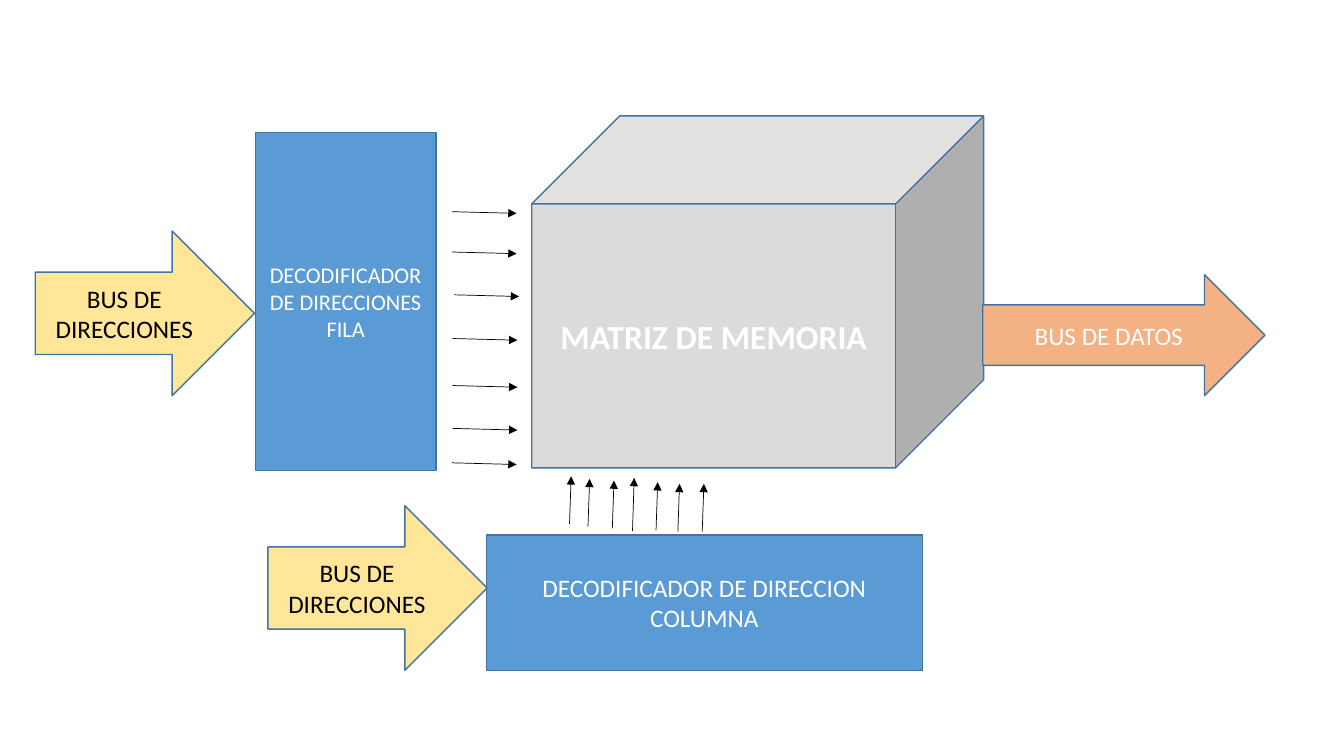
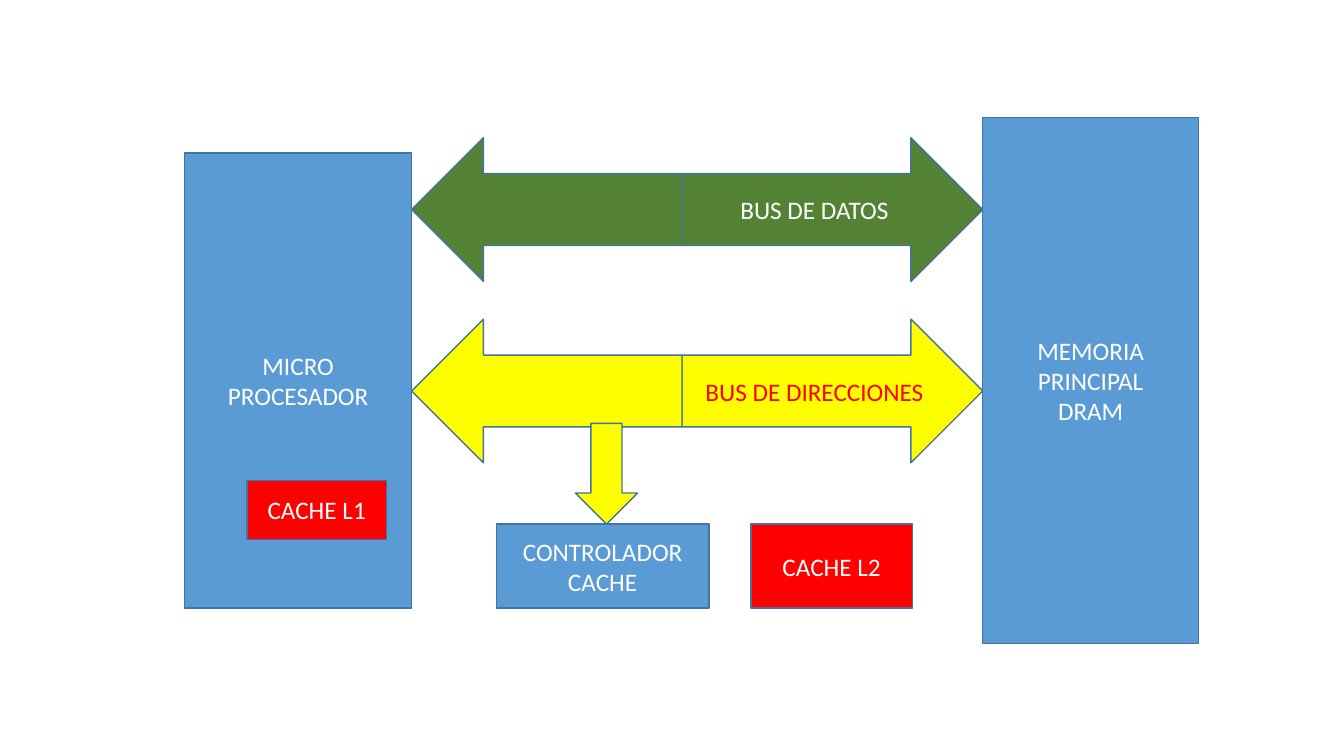
import pptx
import pptx.util
import pptx.dml.color
import pptx.enum.shapes
import pptx.enum.text
import pptx.oxml.ns
from lxml import etree

SHAPES = pptx.enum.shapes.MSO_SHAPE
BLUE, OUTLINE, WHITE, BLACK = "5B9BD5", "43739E", "FFFFFF", "000000"
CREAM, ORANGE, GRAY = "FFE699", "F4B183", "DBDBDB"
GREEN, YELLOW, RED = "548235", "FFFF00", "FF0000"


def color(value):
    return pptx.dml.color.RGBColor.from_string(value)


class Diagram:
    """Draws styled blocks and arrows on a grid of 160 columns by 90 rows."""

    font = "Calibri"
    columns, rows = 160, 90

    def __init__(self, presentation):
        self.presentation = presentation
        self.slide = None

    def add_slide(self):
        layout = self.presentation.slide_layouts[6]
        self.slide = self.presentation.slides.add_slide(layout)

    def x(self, column):
        return round(self.presentation.slide_width * column / self.columns)

    def y(self, row):
        return round(self.presentation.slide_height * row / self.rows)

    def block(self, kind, column, row, width, height, fill, text="",
              text_color=WHITE, size=18, bold=False):
        shape = self.slide.shapes.add_shape(
            kind, self.x(column), self.y(row), self.x(width), self.y(height))
        shape.shadow.inherit = False
        shape.fill.solid()
        shape.fill.fore_color.rgb = color(fill)
        shape.line.color.rgb = color(OUTLINE)
        shape.line.width = pptx.util.Pt(1)
        if text:
            self.label(shape.text_frame, text, text_color, size, bold)

    def label(self, frame, text, text_color, size, bold):
        frame.word_wrap = True
        frame.vertical_anchor = pptx.enum.text.MSO_ANCHOR.MIDDLE
        frame.text = text
        for paragraph in frame.paragraphs:
            paragraph.alignment = pptx.enum.text.PP_ALIGN.CENTER
            paragraph.font.name = self.font
            paragraph.font.size = pptx.util.Pt(size)
            paragraph.font.bold = bold
            paragraph.font.color.rgb = color(text_color)

    def rectangle(self, *place, **style):
        self.block(SHAPES.RECTANGLE, *place, **style)

    def right_arrow(self, *place, **style):
        self.block(SHAPES.RIGHT_ARROW, *place, **style)

    def double_arrow(self, left, middle, right, row, height, fill, text, text_color):
        self.right_arrow(middle, row, right - middle, height, fill, text,
                         text_color=text_color)
        self.block(SHAPES.LEFT_ARROW, left, row, middle - left, height, fill)

    def signal(self, column, row, across, down):
        connector = self.slide.shapes.add_connector(
            pptx.enum.shapes.MSO_CONNECTOR.STRAIGHT, self.x(column), self.y(row),
            self.x(column + across), self.y(row + down))
        connector.line.color.rgb = color(BLACK)
        connector.line.width = pptx.util.Pt(0.5)
        qn = pptx.oxml.ns.qn
        properties = connector.element.spPr
        etree.SubElement(properties.find(qn("a:ln")), qn("a:tailEnd"), type="triangle")
        etree.SubElement(properties, qn("a:effectLst"))


def memory_matrix(diagram):
    diagram.add_slide()
    diagram.rectangle(30.4, 15.8, 21.5, 40.2, BLUE,
                      "DECODIFICADOR DE DIRECCIONES\nFILA", size=16)
    diagram.rectangle(57.9, 63.7, 51.9, 16.1, BLUE,
                      "DECODIFICADOR DE DIRECCION COLUMNA")
    diagram.block(SHAPES.CUBE, 63.3, 13.8, 53.8, 41.9, GRAY,
                  "MATRIZ DE MEMORIA", size=24, bold=True)
    for column, row in ((4.2, 27.5), (31.9, 60.2)):
        diagram.right_arrow(column, row, 26.1, 19.6, CREAM,
                            "BUS DE DIRECCIONES", text_color=BLACK)
    row_signals = ((53.8, 25.2), (53.8, 30), (54.1, 35.1), (53.9, 40.3),
                   (53.9, 45.9), (53.9, 51), (53.8, 55.1))
    for column, row in row_signals:
        diagram.signal(column, row, 7.7, 0.2)
    column_signals = ((67.8, 62.4, 5.7), (70, 62.7, 5.7), (72.9, 62.9, 5.7),
                      (75.3, 63.2, 6.3), (78.1, 63.1, 5.7), (80.7, 63.3, 5.7),
                      (83.6, 63.3, 5.7))
    for column, row, rise in column_signals:
        diagram.signal(column, row, 0.2, -rise)
    diagram.right_arrow(117, 32.7, 33.6, 14.4, ORANGE, "BUS DE DATOS")


def cache_system(diagram):
    diagram.add_slide()
    processor_right, middle, memory_left = 49, 81.2, 117
    diagram.rectangle(22, 18.2, processor_right - 22, 54.2, BLUE, "MICRO\nPROCESADOR")
    diagram.rectangle(memory_left, 14, 25.7, 62.6, BLUE, "MEMORIA PRINCIPAL\nDRAM")
    buses = ((16.4, GREEN, "BUS DE DATOS", WHITE),
             (38, YELLOW, "BUS DE DIRECCIONES", RED))
    for row, fill, text, text_color in buses:
        diagram.double_arrow(processor_right, middle, memory_left, row, 17.1,
                             fill, text, text_color)
    diagram.rectangle(29.4, 57.2, 16.6, 7, RED, "CACHE L1")
    diagram.rectangle(59.1, 62.4, 25.3, 10, BLUE, "CONTROLADOR CACHE")
    diagram.rectangle(89.4, 62.4, 19.2, 10, RED, "CACHE L2")
    diagram.block(SHAPES.DOWN_ARROW, 68.5, 50.4, 7.4, 12, YELLOW)


def main():
    presentation = pptx.Presentation()
    presentation.slide_width = pptx.util.Inches(13.33)
    presentation.slide_height = pptx.util.Inches(7.5)
    diagram = Diagram(presentation)
    memory_matrix(diagram)
    cache_system(diagram)
    presentation.save("out.pptx")


if __name__ == "__main__":
    main()
